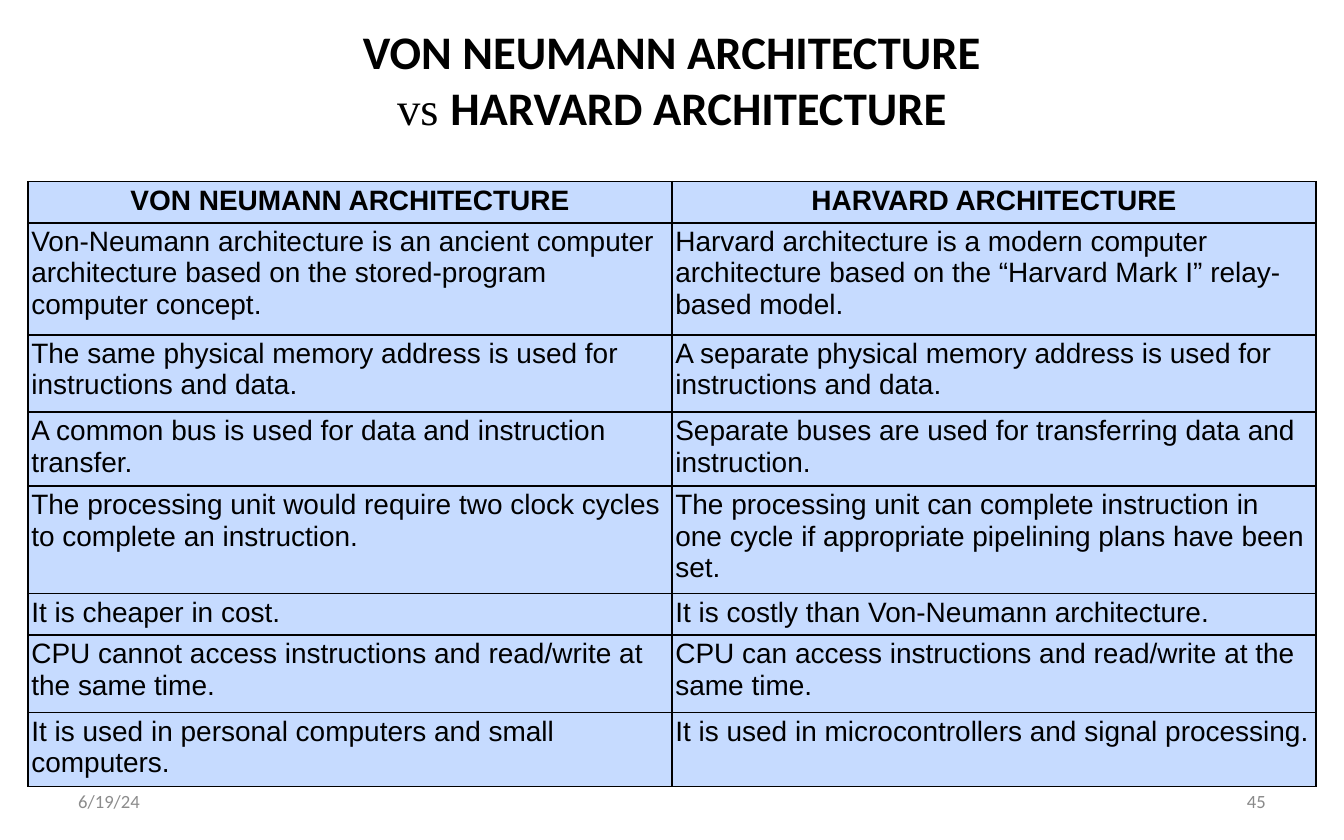
from dataclasses import dataclass

from lxml import etree
from pptx import Presentation
from pptx.dml.color import RGBColor
from pptx.enum import text
from pptx.oxml import ns
from pptx.util import Inches, Pt


@dataclass(frozen=True)
class Theme:
    """Colours, fonts and type sizes of the slide."""
    ink: str = "000000"
    cell: str = "C6DBFF"
    date: str = "8C8C8C"
    number: str = "898989"
    heading_font: str = "Calibri"
    joiner_font: str = "Times New Roman"
    table_font: str = "Arial"
    title_size: int = 30
    table_size: int = 18
    footer_size: int = 12


THEME = Theme()
LEFT, CENTER, RIGHT = text.PP_ALIGN.LEFT, text.PP_ALIGN.CENTER, text.PP_ALIGN.RIGHT

ROW_HEIGHTS = (0.37, 1, 0.69, 0.53, 0.85, 0.37, 0.69, 0.53)
COMPARISON = (
    ("VON NEUMANN ARCHITECTURE", "HARVARD ARCHITECTURE"),
    ("Von-Neumann architecture is an ancient computer architecture based on the stored-program computer concept.",
     "Harvard architecture is a modern computer architecture based on the “Harvard Mark I” relay-based model."),
    ("The same physical memory address is used for instructions and data.",
     "A separate physical memory address is used for instructions and data."),
    ("A common bus is used for data and instruction transfer.",
     "Separate buses are used for transferring data and instruction."),
    ("The processing unit would require two clock cycles to complete an instruction.",
     "The processing unit can complete instruction in one cycle if appropriate pipelining plans have been set."),
    ("It is cheaper in cost.", "It is costly than Von-Neumann architecture."),
    ("CPU cannot access instructions and read/write at the same time.",
     "CPU can access instructions and read/write at the same time."),
    ("It is used in personal computers and small computers.",
     "It is used in microcontrollers and signal processing."),
)


def add_text(paragraph, words, *, size, font, color=THEME.ink, bold=False, align=LEFT):
    """Append a formatted run to a paragraph."""
    paragraph.alignment = align
    run = paragraph.add_run()
    run.text = words
    run.font.size = Pt(size)
    run.font.name = font
    run.font.bold = bold
    run.font.color.rgb = RGBColor.from_string(color)


def add_box(slide, box, inset_x=0.1, inset_y=0.05):
    """Add a wrapped, vertically centred text box and return its frame."""
    frame = slide.shapes.add_textbox(*map(Inches, box)).text_frame
    frame.word_wrap = True
    frame.vertical_anchor = text.MSO_ANCHOR.MIDDLE
    frame.margin_left = frame.margin_right = Inches(inset_x)
    frame.margin_top = frame.margin_bottom = Inches(inset_y)
    return frame


def add_title(slide, box):
    """Place the two-line title in its box."""
    paragraph = add_box(slide, box, inset_y=0).paragraphs[0]
    heading = dict(size=THEME.title_size, font=THEME.heading_font, bold=True, align=CENTER)
    add_text(paragraph, "VON NEUMANN ARCHITECTURE", **heading)
    paragraph.add_line_break()
    add_text(paragraph, "vs ", size=THEME.title_size, font=THEME.joiner_font, align=CENTER)
    add_text(paragraph, "HARVARD ARCHITECTURE", **heading)


def add_borders(cell):
    """Draw a one-point line on every side of a cell."""
    properties = cell._tc.get_or_add_tcPr()
    for index, side in enumerate(("lnL", "lnR", "lnT", "lnB")):
        line = etree.Element(ns.qn(f"a:{side}"), w=str(Pt(1)))
        fill = etree.SubElement(line, ns.qn("a:solidFill"))
        etree.SubElement(fill, ns.qn("a:srgbClr"), val=THEME.ink)
        properties.insert(index, line)


def add_comparison(slide, box):
    """Place the comparison table in its box."""
    columns = len(COMPARISON[0])
    table = slide.shapes.add_table(len(COMPARISON), columns, *map(Inches, box)).table
    for column in table.columns:
        column.width = Inches(box[2] / columns)
    for row_index, (height, entries) in enumerate(zip(ROW_HEIGHTS, COMPARISON)):
        table.rows[row_index].height = Inches(height)
        header = row_index == 0
        for column_index, words in enumerate(entries):
            cell = table.cell(row_index, column_index)
            cell.margin_left = cell.margin_right = Inches(0.03)
            cell.margin_top = cell.margin_bottom = Inches(0.03)
            cell.fill.solid()
            cell.fill.fore_color.rgb = RGBColor.from_string(THEME.cell)
            add_borders(cell)
            add_text(cell.text_frame.paragraphs[0], words, size=THEME.table_size,
                     font=THEME.table_font, bold=header, align=CENTER if header else LEFT)


def add_footer(slide, box):
    """Place the date and slide number at the two ends of the box."""
    left, top, width, height = box
    part_width = 2.8
    parts = (("6/19/24", left, THEME.date, LEFT),
             ("45", left + width - part_width, THEME.number, RIGHT))
    for words, part_left, color, align in parts:
        frame = add_box(slide, (part_left, top, part_width, height))
        add_text(frame.paragraphs[0], words, size=THEME.footer_size,
                 font=THEME.heading_font, color=color, align=align)


def main():
    """Build and save the slide."""
    presentation = Presentation()
    presentation.slide_width, presentation.slide_height = Inches(12), Inches(7.5)
    slide = presentation.slides.add_slide(presentation.slide_layouts[6])
    add_title(slide, (0.6, 0.2, 10.8, 1))
    add_comparison(slide, (0.25, 1.62, 11.5, sum(ROW_HEIGHTS)))
    add_footer(slide, (0.6, 6.95, 10.8, 0.4))
    presentation.save("out.pptx")


if __name__ == "__main__":
    main()
